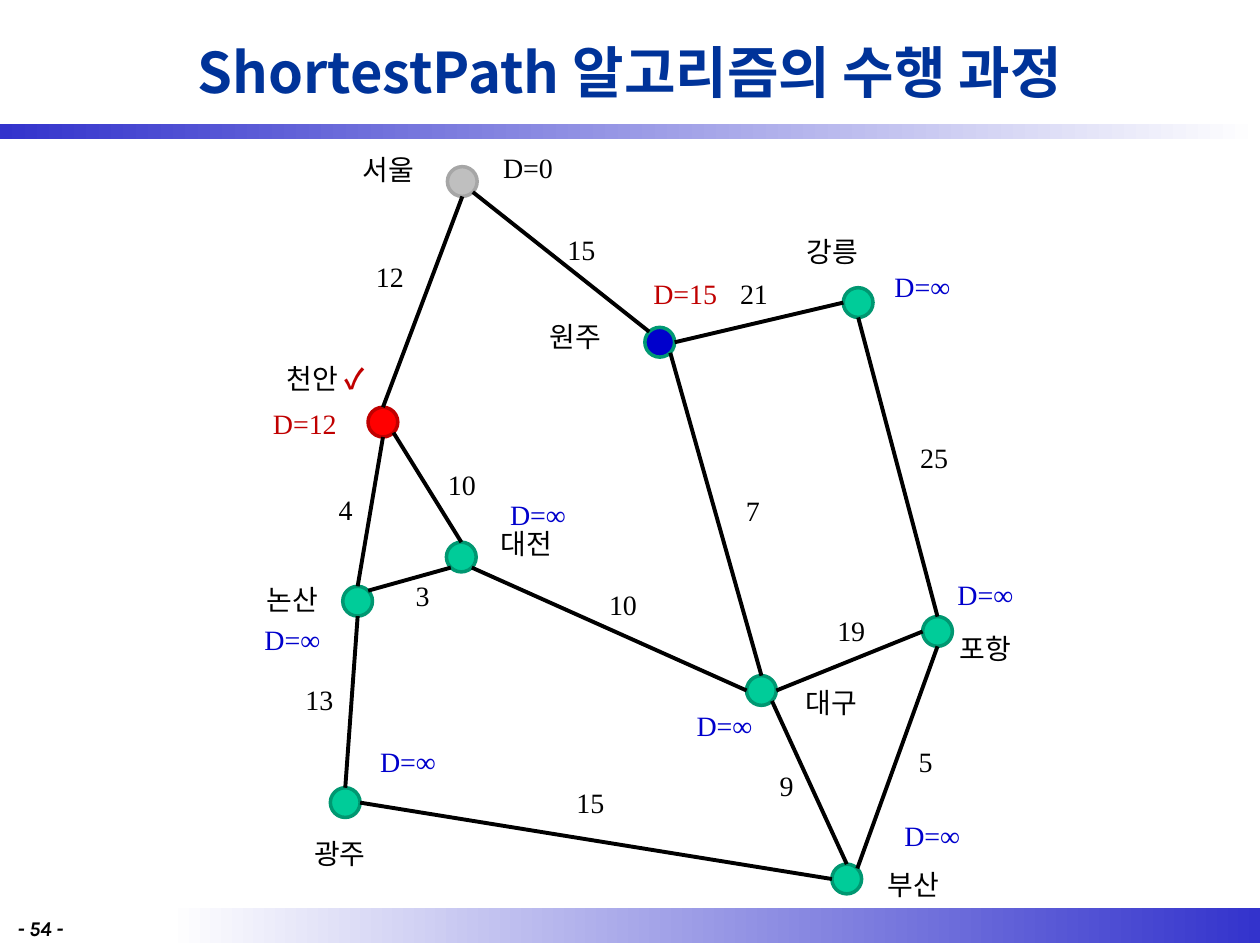
from pptx import Presentation
from pptx.util import Cm, Pt
from pptx.dml.color import RGBColor
from pptx.enum.shapes import MSO_SHAPE as Shape, MSO_CONNECTOR as Link
from pptx.enum.text import PP_ALIGN as Align, MSO_ANCHOR as Anchor
from pptx.oxml.ns import qn
from lxml.etree import SubElement

TITLE = "ShortestPath 알고리즘의 수행 과정"
PAGE = "- 54 -"
SANS, SERIF = "Noto Sans CJK KR", "Times New Roman"
BLACK, RED, BLUE = "000000", "C00000", "0000CC"

LOOKS = {
    "start": ("BFBFBF", "A6A6A6", BLACK),
    "pick": ("FF0000", RED, RED),
    "seen": (BLUE, "009973", RED),
    "open": ("00CC99", "009771", BLUE),
}
CITIES = {
    "서울": ((9.32, 3.66), "start", (6.86, 2.95), "D=0", (9.68, 2.92)),
    "원주": ((13.3, 6.9), "seen", (10.64, 6.32), "D=15", (12.85, 5.46)),
    "강릉": ((17.3, 6.1), "open", (15.82, 4.6), "D=∞", (17.63, 5.31)),
    "천안": ((7.72, 8.51), "pick", (5.11, 7.16), "D=12", (5.18, 8.08)),
    "대전": ((9.3, 11.23), "open", (9.65, 10.49), "D=∞", (9.88, 9.91)),
    "논산": ((7.21, 12.12), "open", (4.93, 11.61), "D=∞", (4.93, 12.42)),
    "포항": ((18.9, 12.73), "open", (18.9, 12.6), "D=∞", (18.9, 11.51)),
    "대구": ((15.35, 13.92), "open", (15.8, 13.69), "D=∞", (13.64, 14.15)),
    "광주": ((6.96, 16.18), "open", (5.89, 16.74), "D=∞", (7.26, 14.88)),
    "부산": ((17.07, 17.72), "open", (17.45, 17.37), "D=∞", (17.83, 16.38)),
}
ROADS = [
    ("서울", "s", "천안", "n", "12", (7.11, 5.11)),
    ("서울", "se", "원주", "nw", "15", (10.97, 4.57)),
    ("원주", "e", "강릉", "w", "21", (14.45, 5.46)),
    ("강릉", "s", "포항", "n", "25", (18.08, 8.76)),
    ("원주", "se", "대구", "n", "7", (14.43, 9.83)),
    ("천안", "se", "대전", "n", "10", (8.56, 9.3)),
    ("천안", "s", "논산", "n", "4", (6.22, 9.8)),
    ("대전", "sw", "논산", "ne", "3", (7.77, 11.53)),
    ("대전", "se", "대구", "w", "10", (11.81, 11.71)),
    ("대구", "e", "포항", "w", "19", (16.41, 12.24)),
    ("대구", "se", "부산", "n", "9", (15.11, 15.37)),
    ("포항", "s", "부산", "ne", "5", (17.91, 14.88)),
    ("논산", "s", "광주", "n", "13", (5.69, 13.64)),
    ("광주", "e", "부산", "w", "15", (11.15, 15.72)),
]
BARS = [
    ((0, 2.51, 25.4, 0.3), ("3333CC", "FFFFFF")),
    ((3.38, 18.31, 22.02, 0.71), ("FFFFFF", "3333CC")),
]
RADIUS = 0.3
NAME_W, ROAD_W, TEXT_H = 1.93, 1.5, 0.94

deck = Presentation()
deck.slide_width, deck.slide_height = Cm(25.4), Cm(19.05)
slide = deck.slides.add_slide(deck.slide_layouts[5])
shapes = slide.shapes


def paint(color, code):
    color.rgb = RGBColor.from_string(code)


def write(para, text, font=SERIF, size=16, color=BLACK, bold=False,
          italic=False, align=Align.CENTER):
    para.alignment = align
    run = para.add_run()
    run.text = text
    face = run.font
    face.name, face.size, face.bold, face.italic = font, Pt(size), bold, italic
    paint(face.color, color)
    SubElement(run.font._element, qn("a:ea"), typeface=SANS)


def label(spot, width, text, height=TEXT_H, **form):
    frame = shapes.add_textbox(*map(Cm, (*spot, width, height))).text_frame
    frame.word_wrap = True
    write(frame.paragraphs[0], text, **form)
    return frame.paragraphs[0]


def bar(box, codes):
    shape = shapes.add_shape(Shape.RECTANGLE, *map(Cm, box))
    shape.shadow.inherit = False
    shape.line.fill.background()
    shape.fill.gradient()
    shape.fill.gradient_angle = 0
    for stop, code in zip(shape.fill.gradient_stops, codes):
        paint(stop.color, code)


def node(spot, fill, edge):
    x, y = spot
    box = (x - RADIUS, y - RADIUS, 2 * RADIUS, 2 * RADIUS)
    shape = shapes.add_shape(Shape.OVAL, *map(Cm, box))
    shape.shadow.inherit = False
    shape.fill.solid()
    paint(shape.fill.fore_color, fill)
    paint(shape.line.color, edge)
    shape.line.width = Pt(2)


def port(city, side):
    x, y = CITIES[city][0]
    reach = RADIUS / len(side) ** 0.5
    return (Cm(x + reach * (("e" in side) - ("w" in side))),
            Cm(y + reach * (("s" in side) - ("n" in side))))


def road(start, end):
    line = shapes.add_connector(Link.STRAIGHT, *start, *end)
    paint(line.line.color, BLACK)
    line.line.width = Pt(2.25)
    SubElement(line._element.spPr, qn("a:effectLst"))


for box, codes in BARS:
    bar(box, codes)

title = shapes.title
title.left, title.top, title.width, title.height = map(Cm, (1.9, 0.13, 21.6, 2.62))
title.text_frame.vertical_anchor = Anchor.MIDDLE
write(title.text_frame.paragraphs[0], TITLE, font=SANS, size=32,
      color="003399", bold=True)
label((0.1, 18.34), 1.8, PAGE, height=0.61, font="Karla", size=12,
      bold=True, italic=True, align=Align.LEFT)

for spot, look, *rest in CITIES.values():
    node(spot, *LOOKS[look][:2])
for tail, out, head, into, *rest in ROADS:
    road(port(tail, out), port(head, into))

for name, (spot, look, place, cost, mark) in CITIES.items():
    if look == "pick":
        para = label(place, 2.92, name + " ")
        write(para, "✓", color=RED, bold=True)
    else:
        label(place, NAME_W, name)
    label(mark, NAME_W, cost, color=LOOKS[look][2])
for *ends, cost, place in ROADS:
    label(place, ROAD_W, cost)

deck.save("out.pptx")
